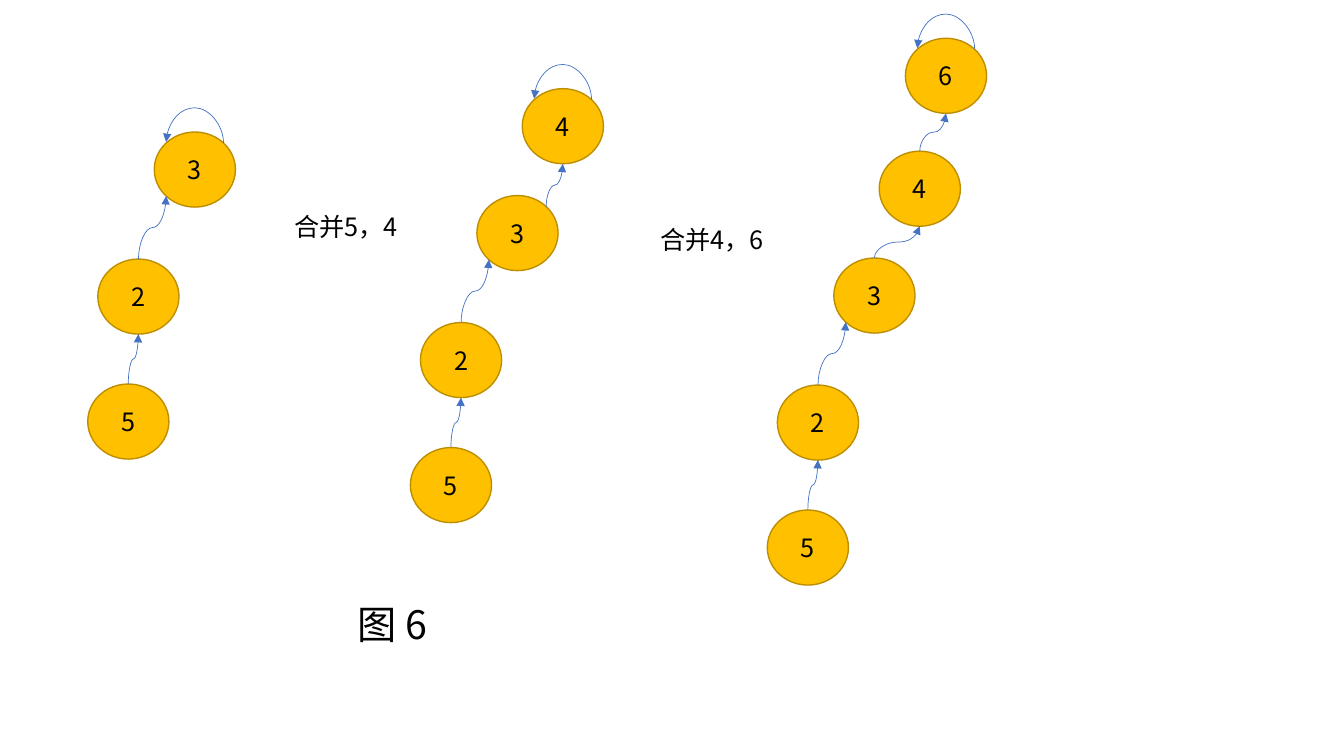
from dataclasses import dataclass
from typing import NamedTuple

from lxml.etree import SubElement
from pptx import Presentation
from pptx.dml.color import RGBColor as Rgb
from pptx.enum.shapes import MSO_CONNECTOR as Link, MSO_SHAPE as Form
from pptx.enum.text import MSO_ANCHOR as Anchor, MSO_AUTO_SIZE as Fit, PP_ALIGN as Align
from pptx.oxml.ns import qn
from pptx.util import Inches, Length, Pt


@dataclass(frozen=True)
class Theme:
    font: str = "Noto Sans CJK SC"
    ink: Rgb = Rgb(0, 0, 0)
    gold: Rgb = Rgb(0xFF, 0xC0, 0x00)
    rim: Rgb = Rgb(0xBD, 0x8E, 0x00)
    blue: Rgb = Rgb(0x44, 0x72, 0xC4)
    body: Length = Pt(18)
    head: Length = Pt(28)
    edge: Length = Pt(1)
    thin: Length = Pt(0.5)


class Spot(NamedTuple):
    col: float
    row: float


class Step(NamedTuple):
    label: str
    shift: Spot
    enter: Spot


class Tree(NamedTuple):
    base: Spot
    size: int
    ports: dict[str, Spot]


class Note(NamedTuple):
    text: str
    at: Spot
    size: Spot
    type: Length


THEME = Theme()
CELL = Inches(0.1)
DISK = Spot(8.05, 7.45)
DIAG = 0.5 ** 0.5 / 2
TOP, BOTTOM = Spot(0.5, 0), Spot(0.5, 1)
LOW_LEFT = Spot(0.5 - DIAG, 0.5 + DIAG)
HIGH_LEFT = Spot(0.5 - DIAG, 0.5 - DIAG)
HIGH_RIGHT = Spot(0.5 + DIAG, 0.5 - DIAG)
LOOP_DROP, LOOP_RISE = 0.1, 3.55

CHAIN = [
    Step("5", Spot(0, 0), BOTTOM),
    Step("2", Spot(1, -12.4), BOTTOM),
    Step("3", Spot(6.6, -25), LOW_LEFT),
    Step("4", Spot(11.1, -35.6), BOTTOM),
    Step("6", Spot(13.7, -46.8), BOTTOM),
]
TREES = [
    Tree(Spot(8.7, 38.1), 3, {}),
    Tree(Spot(40.7, 44.4), 4, {"3": HIGH_RIGHT}),
    Tree(Spot(76.1, 50.6), 5, {}),
]
NOTES = [
    Note("图 6", Spot(34.5, 59.1), Spot(9.1, 5.7), THEME.head),
    Note("合并5，4", Spot(28.2, 20.5), Spot(12.3, 4), THEME.body),
    Note("合并4，6", Spot(64.5, 21.8), Spot(12.3, 4), THEME.body),
]


def cells(count: float) -> Length:
    return Length(round(count * CELL))


def port(at: Spot, side: Spot) -> Spot:
    return Spot(at.col + DISK.col * side.col, at.row + DISK.row * side.row)


def write(frame, text: str, size: Length) -> None:
    run = frame.paragraphs[0].add_run()
    run.text = text
    run.font.size = size
    run.font.name = THEME.font
    run.font.color.rgb = THEME.ink
    SubElement(run.font._element, qn("a:ea"), typeface=THEME.font)


def disk(shapes, label: str, at: Spot) -> None:
    node = shapes.add_shape(Form.OVAL, *map(cells, (*at, *DISK)))
    node.shadow.inherit = False
    node.fill.solid()
    node.fill.fore_color.rgb = THEME.gold
    node.line.color.rgb = THEME.rim
    node.line.width = THEME.edge
    frame = node.text_frame
    frame.vertical_anchor = Anchor.MIDDLE
    write(frame, label, THEME.body)
    frame.paragraphs[0].alignment = Align.CENTER


def curve(shapes, start: Spot, end: Spot, turn: int, flips: str, bend: float) -> None:
    wide, high = abs(start.row - end.row), abs(start.col - end.col)
    left = (start.col + end.col - wide) / 2
    top = (start.row + end.row - high) / 2
    arrow = shapes.add_connector(
        Link.CURVE, *map(cells, (left, top, left + wide, top + high)))
    arrow.line.color.rgb = THEME.blue
    arrow.line.width = THEME.thin
    props = arrow._element.spPr
    frame = props.find(qn("a:xfrm"))
    frame.set("rot", str(turn * 60000))
    for axis in flips:
        frame.set(f"flip{axis}", "1")
    guides = props.find(qn("a:prstGeom")).get_or_add_avLst()
    SubElement(guides, qn("a:gd"), name="adj1", fmla=f"val {round(bend * 100000)}")
    SubElement(props.find(qn("a:ln")), qn("a:tailEnd"), type="triangle")
    SubElement(props, qn("a:effectLst"))


def grow(shapes, tree: Tree) -> None:
    spots = [Spot(tree.base.col + step.shift.col, tree.base.row + step.shift.row)
             for step in CHAIN[:tree.size]]
    for step, at in zip(CHAIN, spots):
        disk(shapes, step.label, at)
    for low, high, start, end in zip(CHAIN, CHAIN[1:], spots, spots[1:]):
        leave = tree.ports.get(low.label, TOP)
        curve(shapes, port(start, leave), port(end, high.enter), 90, "HV", 0.5)
    root = spots[-1]
    start, end = port(root, HIGH_RIGHT), port(root, HIGH_LEFT)
    end = Spot(end.col, end.row - LOOP_DROP)
    curve(shapes, start, end, 270, "V", LOOP_RISE / LOOP_DROP)


def jot(shapes, note: Note) -> None:
    box = shapes.add_textbox(*map(cells, (*note.at, *note.size)))
    frame = box.text_frame
    frame.word_wrap = False
    frame.auto_size = Fit.SHAPE_TO_FIT_TEXT
    write(frame, note.text, note.type)


def main() -> None:
    deck = Presentation()
    deck.slide_width, deck.slide_height = Inches(13.33), Inches(7.5)
    shapes = deck.slides.add_slide(deck.slide_layouts[6]).shapes
    for tree in TREES:
        grow(shapes, tree)
    for note in NOTES:
        jot(shapes, note)
    deck.save("out.pptx")


if __name__ == "__main__":
    main()
